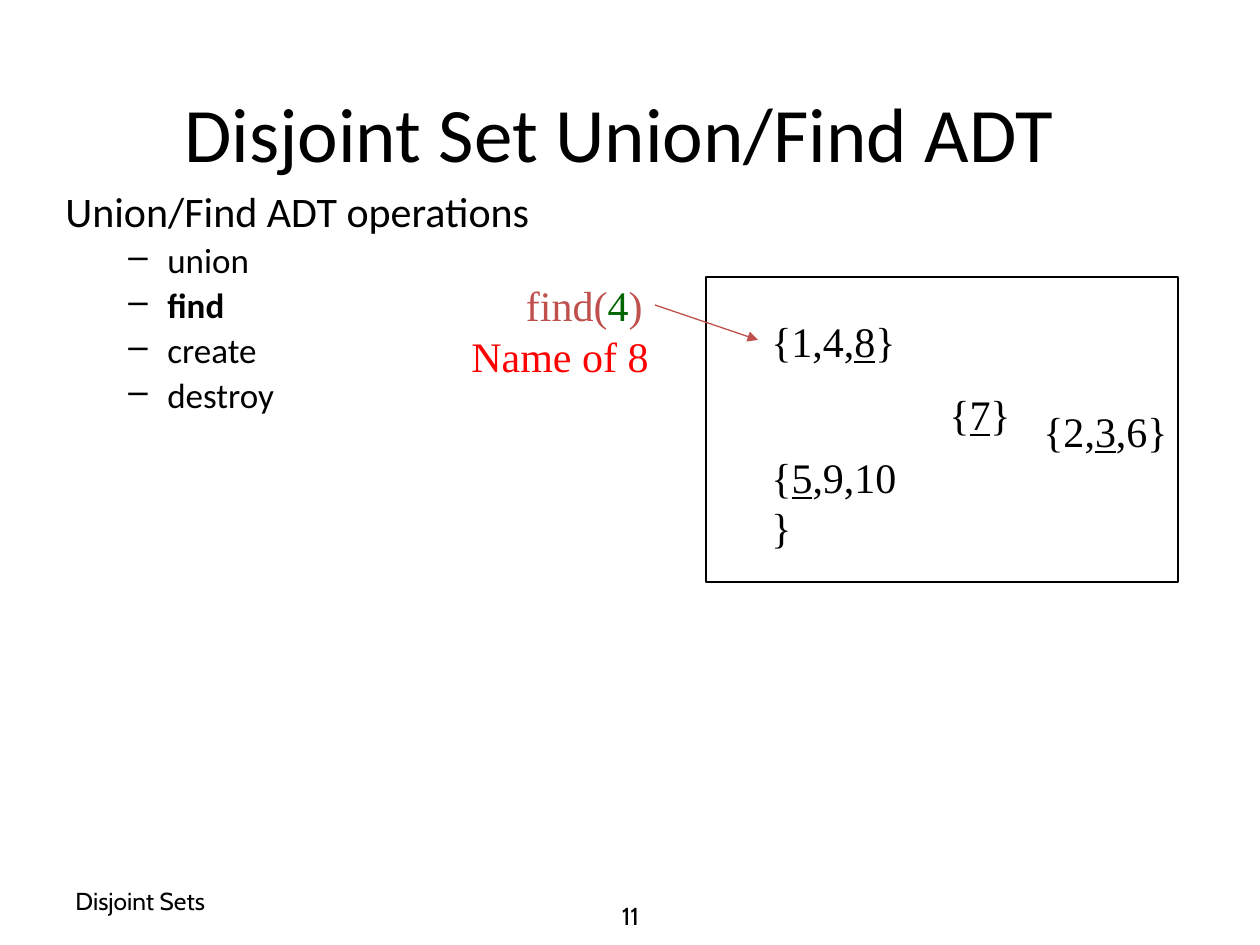
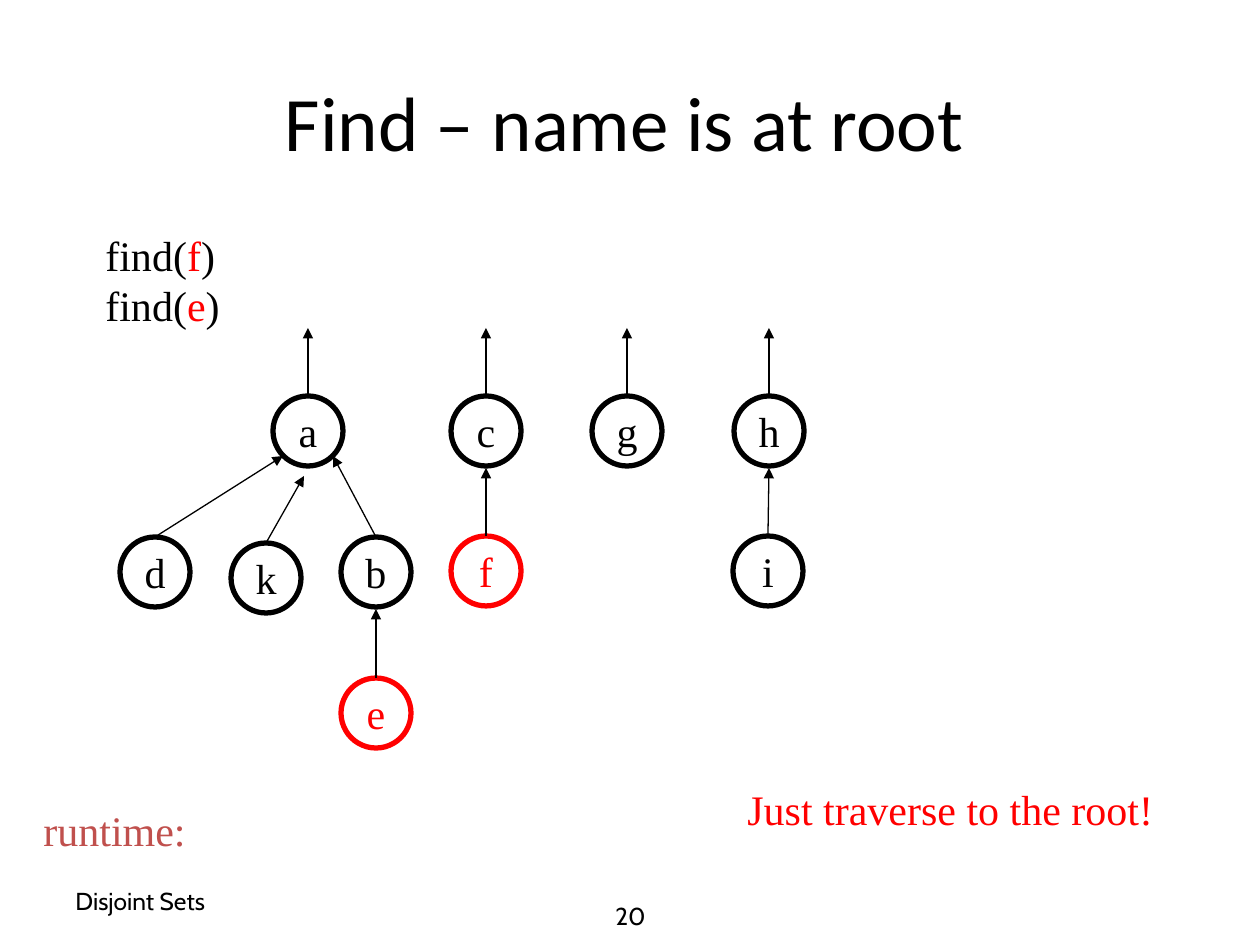
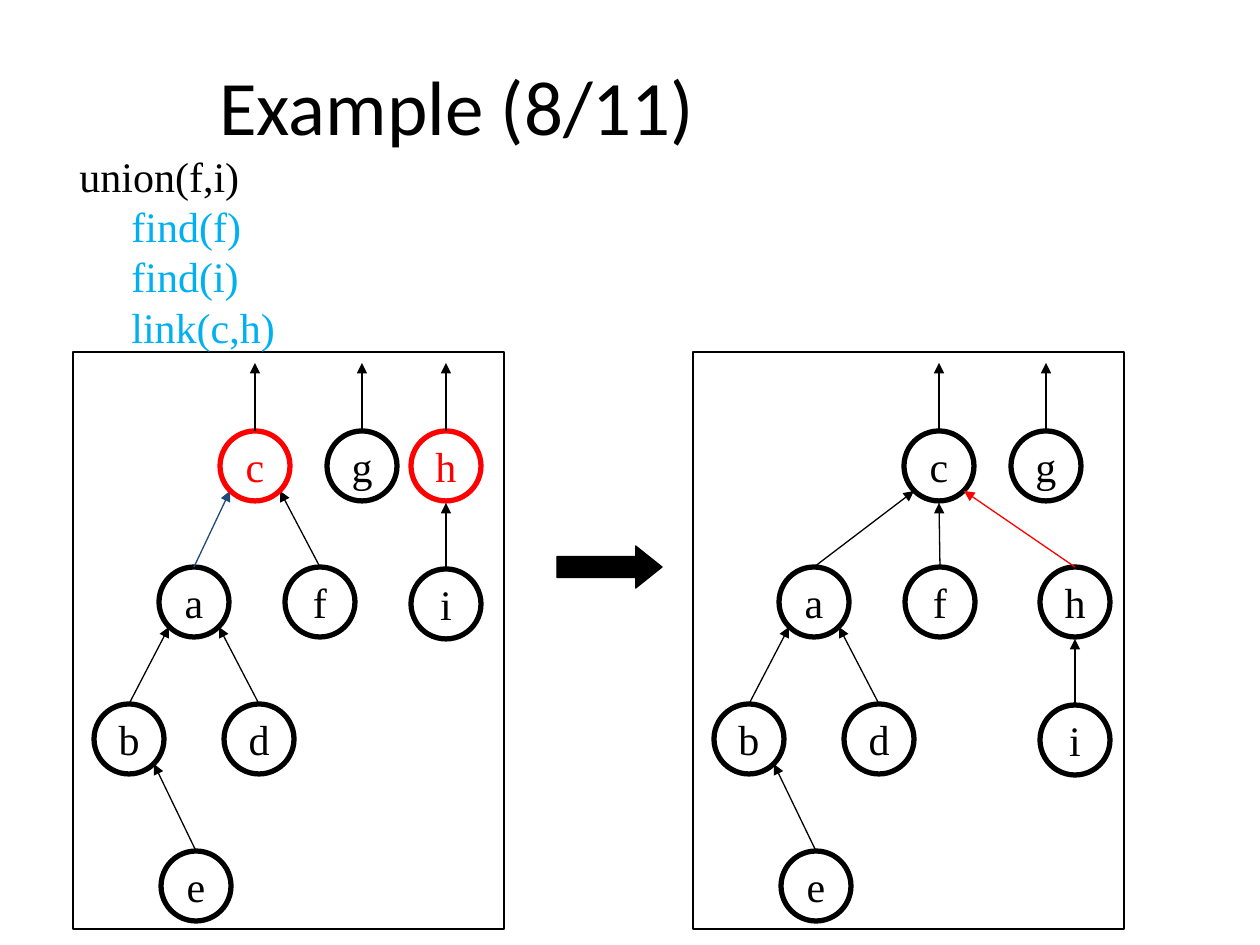
from dataclasses import dataclass

from lxml.etree import SubElement
from pptx import Presentation
from pptx.dml.color import RGBColor
from pptx.enum.shapes import MSO_CONNECTOR as Connector, MSO_SHAPE as Shape
from pptx.enum.text import MSO_ANCHOR as Anchor, PP_ALIGN as Align
from pptx.oxml.ns import qn
from pptx.util import Pt

SCALE = 914400 / 126


@dataclass(frozen=True)
class Theme:
    """Colours, fonts, type sizes and line widths shared by the slides."""

    ink: str = "000000"
    paper: str = "FFFFFF"
    accent: str = "C0504D"
    alert: str = "FF0000"
    value: str = "006600"
    step: str = "00B0F0"
    navy: str = "1F497D"
    title_font: str = "Calibri"
    label_font: str = "Times New Roman"
    footer_font: str = "Cabin"
    title_size: int = 44
    text_size: int = 24
    item_size: int = 20
    footer_size: int = 14
    thin: float = 0.75
    thick: float = 3


THEME = Theme()
TITLE = {"name": THEME.title_font, "size": THEME.title_size}
BODY = {"name": THEME.title_font, "size": THEME.text_size}
ITEM = {"name": THEME.title_font, "size": THEME.item_size}
FOOTER = {"name": THEME.footer_font, "size": THEME.footer_size}
LABEL = {"name": THEME.label_font, "size": THEME.text_size}
UNDERLINED = {"underline": True}
ALERT = {"color": THEME.alert}
ACCENT = {"color": THEME.accent}
STEP = {"color": THEME.step}

NODE_SIZE = 70
ROOT_ARROW = 103
CORNER = 25
BOTTOM = 37


def px(length):
    """Turn px into EMU."""
    return round(length * SCALE)


def rgb(code):
    """Turn a hex code into a colour."""
    return RGBColor.from_string(code)


def write(para, spans, base):
    """Fill a paragraph with spans of (text, format changes)."""
    for text, changes in spans:
        span = para.add_run()
        span.text = text
        style = {"color": THEME.ink} | base | changes
        span.font.color.rgb = rgb(style.pop("color"))
        style["size"] = Pt(style["size"])
        for name, value in style.items():
            setattr(span.font, name, value)


def add_text(page, place, paras, base=LABEL, align=Align.LEFT, anchor=Anchor.TOP, wrap=False):
    """Add a text box and return its paragraphs."""
    frame = page.shapes.add_textbox(*map(px, place)).text_frame
    frame.word_wrap, frame.vertical_anchor = wrap, anchor
    for index, spans in enumerate(paras):
        para = frame.add_paragraph() if index else frame.paragraphs[0]
        para.alignment = align
        write(para, spans, base)
    return frame.paragraphs


def add_outline(page, kind, place, color=THEME.ink, width=THEME.thin, fill=None):
    """Add a preset shape with a plain outline."""
    shape = page.shapes.add_shape(kind, *map(px, place))
    shape.shadow.inherit = False
    shape.line.color.rgb, shape.line.width = rgb(color), Pt(width)
    if fill:
        shape.fill.solid()
        shape.fill.fore_color.rgb = rgb(fill)
    else:
        shape.fill.background()
    return shape


def add_arrow(page, start, end, color=THEME.ink):
    """Add a thin straight arrow."""
    arrow = page.shapes.add_connector(Connector.STRAIGHT, *map(px, (*start, *end)))
    arrow.line.color.rgb, arrow.line.width = rgb(color), Pt(THEME.thin)
    properties = arrow.line._get_or_add_ln()
    SubElement(properties, qn("a:tailEnd"), type="triangle")
    SubElement(arrow._element.spPr, qn("a:effectLst"))
    return arrow


def add_title(page, place, text):
    """Add the slide title."""
    add_text(page, place, [[(text, {})]], TITLE, Align.CENTER, Anchor.MIDDLE, True)


def add_footer(page, number):
    """Add the deck name and the page number."""
    add_text(page, (63, 876, 294, 50), [[("Disjoint Sets", {})]], FOOTER, anchor=Anchor.MIDDLE, wrap=True)
    add_text(page, (431, 891, 399, 50), [[(number, {})]], FOOTER, Align.CENTER, Anchor.MIDDLE, True)


def add_node(page, label, center, color):
    """Add a round tree node around its centre."""
    x, y = center
    half = NODE_SIZE / 2
    node = add_outline(page, Shape.OVAL, (x - half, y - half, NODE_SIZE, NODE_SIZE), color, THEME.thick)
    node.text_frame.word_wrap = False
    node.text_frame.vertical_anchor = Anchor.MIDDLE
    para = node.text_frame.paragraphs[0]
    para.alignment = Align.CENTER
    write(para, [(label, {"color": color})], LABEL)
    return node


def landing(child, parent):
    """Give the point below a parent where the arrow of a child ends."""
    (child_x, _), (x, y) = child, parent
    if abs(child_x - x) < CORNER:
        return x, y + BOTTOM
    return x + (CORNER if child_x > x else -CORNER), y + CORNER


def add_forest(page, origin, centers, parents, alerts="", edge_colors=None, ends=None):
    """Add nodes, their arrows to parents and the arrows above roots."""
    left, top = origin
    spots = {label: (left + x, top + y) for label, (x, y) in centers.items()}
    for label, (x, y) in spots.items():
        node = add_node(page, label, (x, y), THEME.alert if label in alerts else THEME.ink)
        if label in (ends or {}):
            end = left + ends[label][0], top + ends[label][1]
        elif label in parents:
            end = landing((x, y), spots[parents[label]])
        else:
            end = x, y - ROOT_ARROW
        arrow = add_arrow(page, (x, y - NODE_SIZE / 2), end, (edge_colors or {}).get(label, THEME.ink))
        arrow.begin_connect(node, 0)


def add_operations(page, place):
    """Add the list of operations with dashes."""
    items = [("union", {}), ("find", {"bold": True}), ("create", {}), ("destroy", {})]
    heading, *rows = add_text(page, place, [[("Union/Find ADT operations", BODY)]] + [[item] for item in items], ITEM, wrap=True)
    heading.line_spacing = 0.9
    for row in rows:
        properties = row._p.get_or_add_pPr()
        properties.set("marL", str(px(102)))
        properties.set("indent", str(px(-39)))
        SubElement(properties, qn("a:buChar"), char="–")
        row.line_spacing, row.space_before = 0.9, Pt(4)


def add_sets(page, box):
    """Add the frame that holds the disjoint sets."""
    left, top, _, _ = box
    add_outline(page, Shape.RECTANGLE, box)
    sets = [
        (53, 32, 150, "{1,4,", "8", "}"),
        (231, 105, 87, "{", "7", "}"),
        (53, 168, 170, "{", "5", ",9,10}"),
        (325, 122, 150, "{2,", "3", ",6}"),
    ]
    for x, y, width, before, name, after in sets:
        spans = [(before, {}), (name, UNDERLINED), (after, {})]
        add_text(page, (left + x, top + y, width, 63), [spans])


def build_operations(page):
    """Build the slide on the abstract data type."""
    add_title(page, (84, 53, 1071, 158), "Disjoint Set Union/Find ADT")
    add_operations(page, (53, 185, 1134, 624))
    add_footer(page, "11")
    add_sets(page, (706, 277, 472, 305))
    call = [("find(", ACCENT), ("4", {"color": THEME.value}), (")", ACCENT)]
    add_text(page, (513, 273, 142, 63), [call], align=Align.RIGHT)
    add_arrow(page, (655, 305), (758, 340), THEME.accent)
    add_text(page, (438, 324, 223, 64), [[("Name of 8", ALERT)]], align=Align.RIGHT, wrap=True)


def build_find(page):
    """Build the slide on finding a root."""
    add_title(page, (89, 42, 1071, 158), "Find – name is at root")
    add_footer(page, "20")
    centers = {
        "a": (188, 102), "c": (366, 102), "g": (507, 102), "h": (649, 102),
        "d": (35, 243), "b": (256, 243), "e": (256, 384),
        "f": (366, 242), "i": (648, 242), "k": (146, 249),
    }
    parents = {"d": "a", "b": "a", "k": "a", "e": "b", "f": "c", "i": "h"}
    add_forest(page, (120, 329), centers, parents, "ef", ends={"k": (184, 147)})
    calls = [[("find(", {}), (name, ALERT), (")", {})] for name in "fe"]
    add_text(page, (93, 223, 140, 113), calls)
    add_text(page, (735, 777, 431, 63), [[("Just traverse to the root!", ALERT)]])
    add_text(page, (31, 798, 168, 63), [[("runtime:", ACCENT)]])


def build_union(page):
    """Build the slide with the forest before and after a union."""
    add_title(page, (11, 26, 892, 158), "Example (8/11)")
    arrow = add_outline(page, Shape.RIGHT_ARROW, (557, 546, 105, 42), fill=THEME.ink)
    arrow.adjustments[0], arrow.adjustments[1] = 0.5, 0.625
    shared = {"a": (121, 250), "f": (247, 250), "b": (56, 387), "d": (186, 387), "e": (123, 534)}
    before = shared | {"c": (182, 114), "g": (289, 114), "h": (373, 114), "i": (373, 252)}
    after = shared | {"c": (246, 114), "g": (353, 114), "h": (382, 250), "i": (382, 388)}
    parents = {"a": "c", "f": "c", "b": "a", "d": "a", "e": "b", "i": "h"}
    forests = [
        (693, after, parents | {"h": "c"}, "", {"h": THEME.alert}),
        (73, before, parents, "ch", {"a": THEME.navy}),
    ]
    for left, centers, links, alerts, edge_colors in forests:
        add_outline(page, Shape.RECTANGLE, (left, 352, 431, 577), fill=THEME.paper)
        add_forest(page, (left, 352), centers, links, alerts, edge_colors)
    steps = [[(step, STEP)] for step in ("find(f)", "find(i)", "link(c,h)")]
    _, *rows = add_text(page, (67, 144, 223, 217), [[("union(f,i)", {})]] + steps)
    for row in rows:
        row._p.get_or_add_pPr().set("marL", str(px(52)))


def main():
    """Build and save the deck."""
    deck = Presentation()
    deck.slide_width, deck.slide_height = px(1260), px(945)
    for build in (build_operations, build_find, build_union):
        build(deck.slides.add_slide(deck.slide_layouts[6]))
    deck.save("out.pptx")


if __name__ == "__main__":
    main()
